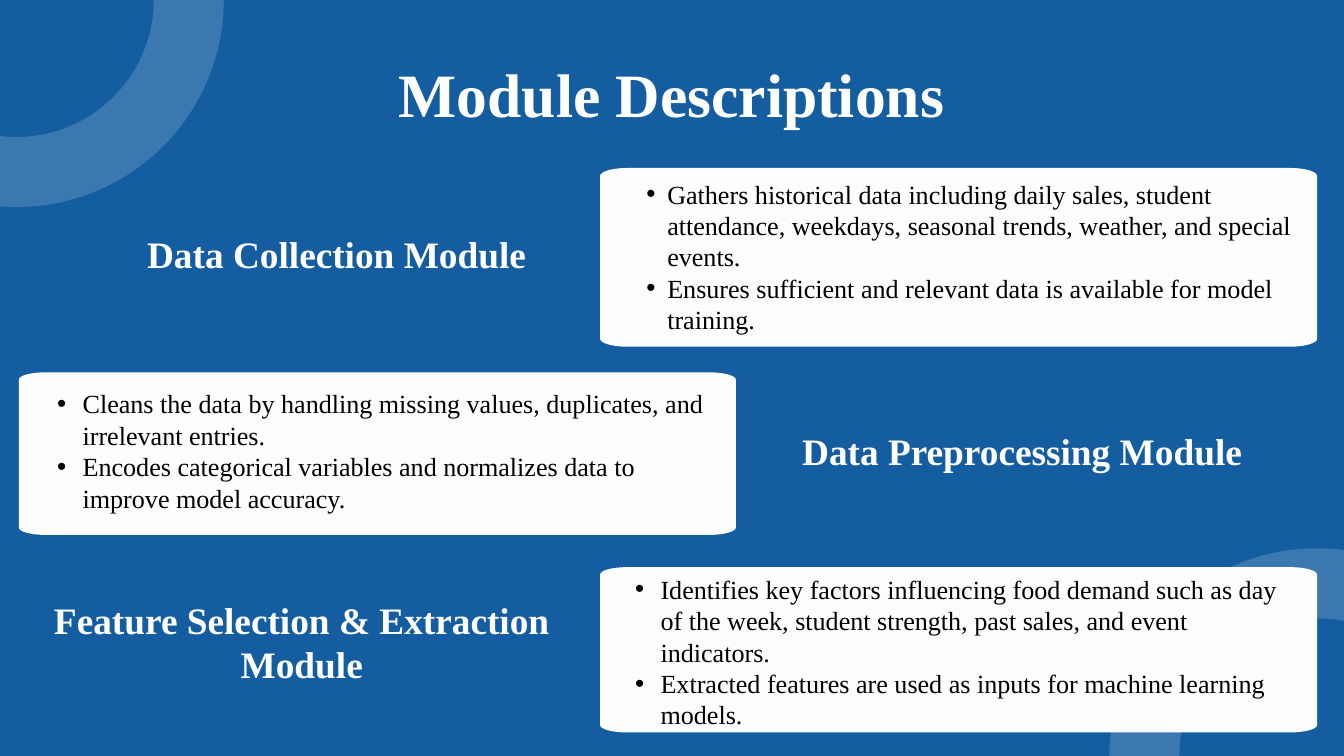
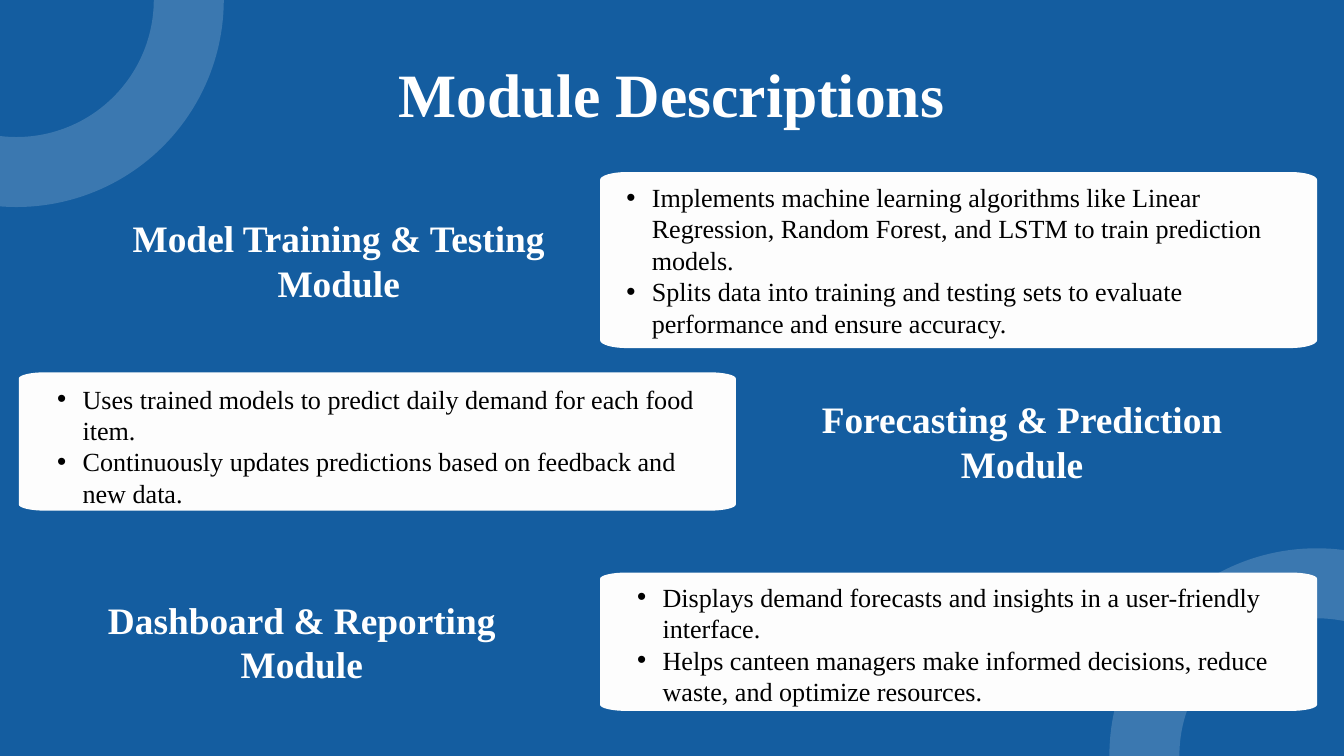
"""Build two slides that describe the modules of a food demand forecasting system."""
from math import cos, pi, sin

from lxml.etree import SubElement
from pptx import Presentation
from pptx.dml.color import RGBColor
from pptx.enum.shapes import MSO_SHAPE as Shape
from pptx.enum.text import MSO_ANCHOR as Anchor, MSO_AUTO_SIZE as AutoSize, PP_ALIGN as Align
from pptx.oxml.ns import qn
from pptx.util import Inches, Pt

COLORS = {"blue": "145DA0", "white": "FFFFFF", "card": "FDFDFD", "black": "000000"}
FONT = "Times New Roman"
TITLE_FONT = {"name": FONT, "size": Pt(66), "bold": True}
HEADING_FONT = {"name": FONT, "size": Pt(40), "bold": True}
LIST_FONT = {"name": FONT, "size": Pt(28), "bold": False}
TITLE_PARA = {"alignment": Align.CENTER, "line_spacing": Pt(71.5)}
HEADING_PARA = {"alignment": Align.CENTER}
LIST_PARA = {"alignment": Align.LEFT, "space_before": Pt(0)}
FRAME = {"word_wrap": True, "auto_size": AutoSize.NONE, "vertical_anchor": Anchor.TOP}
NO_MARGINS = {f"margin_{side}": 0 for side in ("left", "top", "right", "bottom")}

RING_SIZE = 5.13
RING_CORNERS = [(-2.32, -2.57), (17.03, 8.68)]
CARD_WIDTH, CORNER_WIDTH, CORNER_SHARE = 10.67, 0.4, 0.045
LEFT_CARD, RIGHT_CARD = 0.28, 8.93
LIST_WIDTH = 10.08

# Each module: heading, heading box, card (left, top, height), list (left, top, height), indent, points
SLIDES = [
    [
        ("Data Collection Module", (1.38, 3.39, 7.26, 0.77),
         (RIGHT_CARD, 2.5, 2.66), (9.52, 2.6, 2.46), 0.31,
         ["Gathers historical data including daily sales, student attendance, weekdays, "
          "seasonal trends, weather, and special events.",
          "Ensures sufficient and relevant data is available for model training."]),
        ("Data Preprocessing Module", (11.58, 6.32, 7.26, 0.77),
         (LEFT_CARD, 5.54, 2.42), (0.75, 5.72, 1.99), 0.38,
         ["Cleans the data by handling missing values, duplicates, and irrelevant entries.",
          "Encodes categorical variables and normalizes data to improve model accuracy."]),
        ("Feature Selection & Extraction Module", (0.54, 8.83, 7.9, 1.45),
         (RIGHT_CARD, 8.44, 2.46), (9.35, 8.48, 2.46), 0.38,
         ["Identifies key factors influencing food demand such as day of the week, "
          "student strength, past sales, and event indicators.",
          "Extracted features are used as inputs for machine learning models."]),
    ],
    [
        ("Model Training & Testing Module", (1.41, 3.16, 7.26, 1.45),
         (RIGHT_CARD, 2.56, 2.62), (9.22, 2.65, 2.46), 0.38,
         ["Implements machine learning algorithms like Linear Regression, Random Forest, "
          "and LSTM to train prediction models.",
          "Splits data into training and testing sets to evaluate performance and ensure accuracy."]),
        ("Forecasting & Prediction Module", (11.58, 5.85, 7.26, 1.45),
         (LEFT_CARD, 5.54, 2.06), (0.75, 5.65, 1.99), 0.38,
         ["Uses trained models to predict daily demand for each food item.",
          "Continuously updates predictions based on feedback and new data."]),
        ("Dashboard & Reporting Module", (0.54, 8.83, 7.9, 1.45),
         (RIGHT_CARD, 8.52, 2.06), (9.38, 8.6, 1.99), 0.38,
         ["Displays demand forecasts and insights in a user-friendly interface.",
          "Helps canteen managers make informed decisions, reduce waste, and optimize resources."]),
    ],
]


def write(box, place, lines, color, font, layout, frame=FRAME, indent=None):
    """Place a box and fill it with formatted paragraphs, bulleted when an indent is given."""
    box.left, box.top, box.width, box.height = [Inches(length) for length in place]
    text = box.text_frame
    for name, value in frame.items():
        setattr(text, name, value)
    for number, line in enumerate(lines):
        para = text.add_paragraph() if number else text.paragraphs[0]
        for name, value in layout.items():
            setattr(para, name, value)
        if indent:
            properties = para._p.get_or_add_pPr()
            properties.set("marL", str(Inches(indent)))
            properties.set("indent", str(-Inches(indent)))
            SubElement(properties, qn("a:buFont"), typeface="Arial")
            SubElement(properties, qn("a:buChar"), char="•")
        span = para.add_run()
        span.text = line
        for name, value in font.items():
            setattr(span.font, name, value)
        span.font.color.rgb = RGBColor.from_string(COLORS[color])


def add_card(page, left, top, height):
    """Draw a card whose four corners are quarter ellipses."""
    radius = height * CORNER_SHARE
    near, far = left + CORNER_WIDTH, left + CARD_WIDTH - CORNER_WIDTH
    high, low = top + radius, top + height - radius
    centers = [(far, low), (near, low), (near, high), (far, high)]
    points = []
    for quarter, (x, y) in enumerate(centers):
        for step in range(9):
            angle = (quarter + step / 8) * pi / 2
            points.append((Inches(x + CORNER_WIDTH * cos(angle)), Inches(y + radius * sin(angle))))
    builder = page.shapes.build_freeform(*points[0])
    builder.add_line_segments(points[1:], close=True)
    card = builder.convert_to_shape()
    card.shadow.inherit = False
    card.fill.solid()
    card.fill.fore_color.rgb = RGBColor.from_string(COLORS["card"])
    card.line.fill.background()
    return card


deck = Presentation()
deck.slide_width, deck.slide_height = Inches(20), Inches(11.25)
backdrop = deck.slide_master.background.fill
backdrop.solid()
backdrop.fore_color.rgb = RGBColor.from_string(COLORS["blue"])
comparison = deck.slide_layouts[4]

for modules in SLIDES:
    page = deck.slides.add_slide(comparison)
    for left, top in RING_CORNERS:
        ring = page.shapes.add_shape(Shape.OVAL, Inches(left), Inches(top),
                                     Inches(RING_SIZE), Inches(RING_SIZE))
        ring.shadow.inherit = False
        ring.fill.background()
        ring.line.width = Pt(75)
        ring.line.color.rgb = RGBColor.from_string(COLORS["white"])
        tint = next(ring.element.iter(qn("a:ln"))).find(".//" + qn("a:srgbClr"))
        SubElement(tint, qn("a:alpha"), val="16000")

    write(page.shapes.title, (5.92, 0.94, 8.15, 1.01), ["Module Descriptions"],
          "white", TITLE_FONT, TITLE_PARA, FRAME | NO_MARGINS)

    bodies = list(page.placeholders)[1:]
    for body, (heading, heading_place, card_place, (left, top, height), indent, points) in zip(bodies, modules):
        card = add_card(page, *card_place)
        card.element.addnext(body.element)
        write(body, (left, top, LIST_WIDTH, height), points, "black", LIST_FONT, LIST_PARA, indent=indent)
        label = page.shapes.add_textbox(0, 0, 0, 0)
        write(label, heading_place, [heading], "white", HEADING_FONT, HEADING_PARA)
    spare = bodies[-1].element
    spare.getparent().remove(spare)

deck.save("out.pptx")
